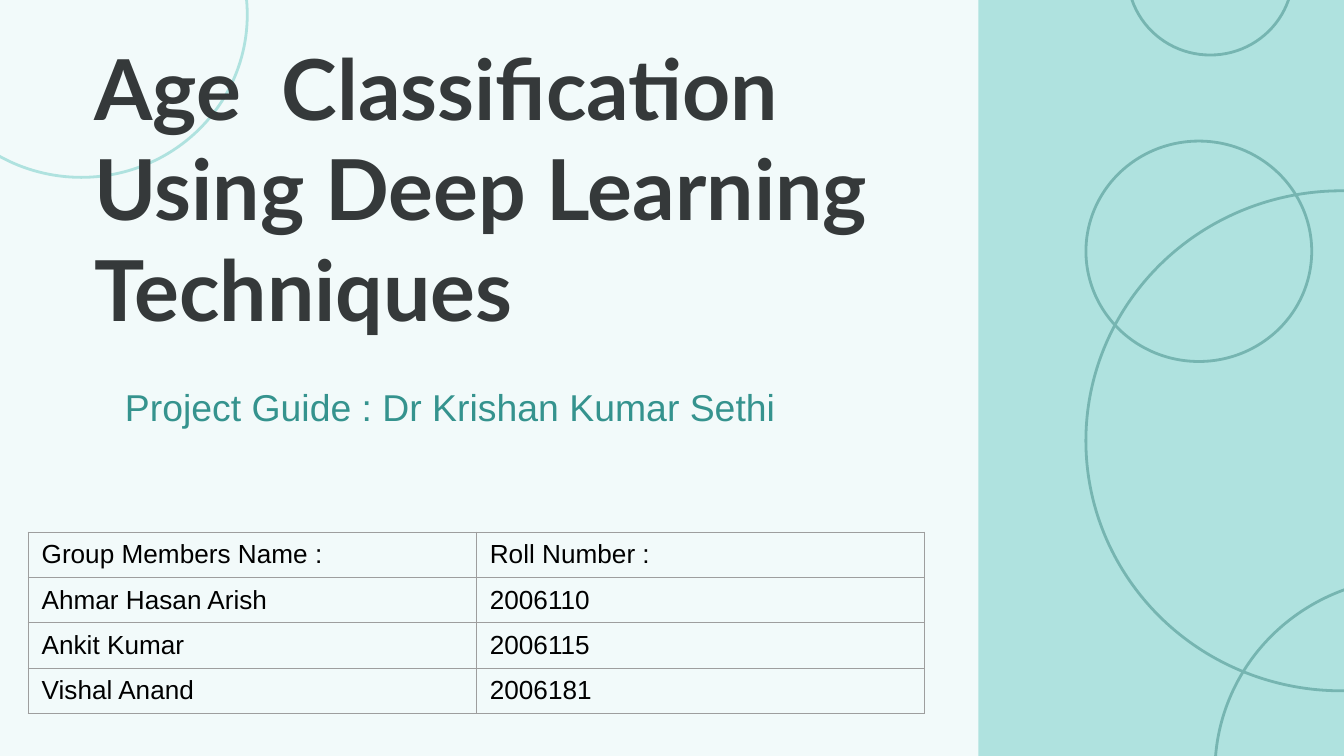
import pptx
import pptx.dml.color
import pptx.enum.shapes
import pptx.enum.text
import pptx.oxml
import pptx.oxml.ns
import pptx.util

Inches = pptx.util.Inches
Pt = pptx.util.Pt

# Content
TITLE = "Age  Classification Using Deep Learning Techniques"
GUIDE = "Project Guide : Dr Krishan Kumar Sethi"
MEMBERS = [
    ("Group Members Name :", "Roll Number :"),
    ("Ahmar Hasan Arish", "2006110"),
    ("Ankit Kumar", "2006115"),
    ("Vishal Anand", "2006181"),
]
COLORS = {
    "background": "F2FAFA",
    "panel": "AFE2DF",
    "ring": "76B5B1",
    "title": "35393A",
    "guide": "35938E",
    "table_text": "000000",
    "border": "9E9E9E",
}
# A 16:9 slide
SLIDE_WIDTH = 10
SLIDE_HEIGHT = SLIDE_WIDTH * 9 / 16
# Rings: left, top, width, height, colour
RINGS = [
    (8.08, 1.42, 3.8, 3.72, "ring"),
    (-0.63, -1.1, 2.47, 2.42, "panel"),
    (8.08, 1.05, 1.68, 1.64, "ring"),
    (9.04, 4.3, 2.94, 2.88, "ring"),
    (8.39, -0.8, 1.23, 1.21, "ring"),
]
PANEL = (7.28, 0, 2.72, SLIDE_HEIGHT)
TITLE_BOX = (0.6, 0.17, 6.63, 2.45)
GUIDE_BOX = (0.83, 2.81, 5.15, 0.44)
TABLE_BOX = (0.21, 3.96, 6.67, 1.35)


def color(name):
    return pptx.dml.color.RGBColor.from_string(COLORS[name])


def box(values):
    return [Inches(value) for value in values]


def format_font(paragraph, name, size, color_name, bold=False):
    font = paragraph.font
    font.name, font.size, font.bold = name, Pt(size), bold
    font.color.rgb = color(color_name)


def add_decoration(slide, kind, bounds):
    shape = slide.shapes.add_shape(kind, *box(bounds))
    shape.shadow.inherit = False
    return shape


def fill_placeholder(shape, text, bounds, anchor, margin, font):
    shape.left, shape.top, shape.width, shape.height = box(bounds)
    frame = shape.text_frame
    frame.text = text
    frame.word_wrap = True
    frame.auto_size = pptx.enum.text.MSO_AUTO_SIZE.NONE
    frame.vertical_anchor = anchor
    frame.margin_left = frame.margin_right = Inches(0.1)
    frame.margin_top = frame.margin_bottom = Inches(margin)
    paragraph = frame.paragraphs[0]
    paragraph.alignment = pptx.enum.text.PP_ALIGN.LEFT
    paragraph.space_before = Pt(0)
    format_font(paragraph, *font)
    # Bring the text in front of the decoration
    shape.element.getparent().append(shape.element)


def add_borders(cell):
    properties = cell._tc.get_or_add_tcPr()
    for side in ("lnL", "lnR", "lnT", "lnB"):
        properties.append(pptx.oxml.parse_xml(
            f'<a:{side} {pptx.oxml.ns.nsdecls("a")} w="{Pt(0.75)}"><a:solidFill>'
            f'<a:srgbClr val="{COLORS["border"]}"/></a:solidFill></a:{side}>'))


presentation = pptx.Presentation()
presentation.slide_width = Inches(SLIDE_WIDTH)
presentation.slide_height = Inches(SLIDE_HEIGHT)
slide = presentation.slides.add_slide(presentation.slide_layouts[0])
slide.background.fill.solid()
slide.background.fill.fore_color.rgb = color("background")

# Side panel and rings
shape_types = pptx.enum.shapes.MSO_SHAPE
panel = add_decoration(slide, shape_types.RECTANGLE, PANEL)
panel.fill.solid()
panel.fill.fore_color.rgb = color("panel")
panel.line.fill.background()
for *bounds, color_name in RINGS:
    ring = add_decoration(slide, shape_types.OVAL, bounds)
    ring.fill.background()
    ring.line.color.rgb = color(color_name)
    ring.line.width = Pt(1.5)

# Title and project guide
anchors = pptx.enum.text.MSO_ANCHOR
fill_placeholder(slide.shapes.title, TITLE, TITLE_BOX, anchors.BOTTOM, 0.1,
                 ("Lato", 45, "title", True))
fill_placeholder(slide.placeholders[1], GUIDE, GUIDE_BOX, anchors.TOP, 0.05,
                 ("Arial", 20, "guide"))

# Group members table
table = slide.shapes.add_table(len(MEMBERS), len(MEMBERS[0]), *box(TABLE_BOX)).table
table.first_row = table.horz_banding = False
for row_index, row in enumerate(MEMBERS):
    for column_index, text in enumerate(row):
        cell = table.cell(row_index, column_index)
        cell.text = text
        cell.vertical_anchor = anchors.MIDDLE
        format_font(cell.text_frame.paragraphs[0], "Arial", 14, "table_text")
        add_borders(cell)
        cell.fill.background()

presentation.save("out.pptx")
